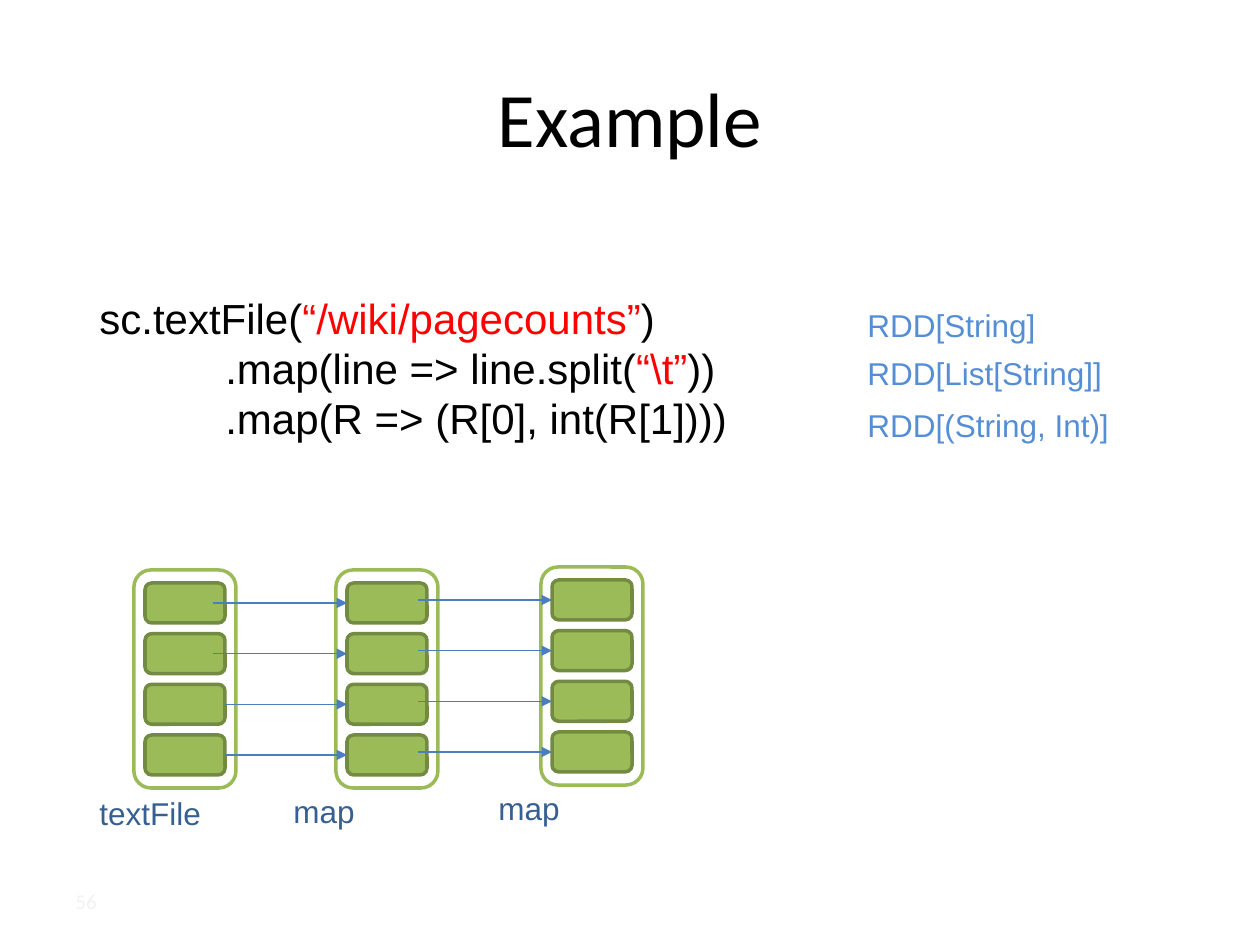
from lxml import etree
from pptx import Presentation
from pptx.dml.color import RGBColor
from pptx.enum.shapes import MSO_CONNECTOR, MSO_SHAPE
from pptx.enum.text import MSO_ANCHOR, PP_ALIGN
from pptx.oxml.ns import qn
from pptx.util import Emu, Pt

# Content: code lines are lists of (text, colour) runs
BLACK, RED, LIGHT_BLUE, DARK_BLUE = "000000", "FF0000", "558ED5", "376092"
GREEN, DARK_GREEN, ARROW_BLUE, WHITE = "9BBB59", "738A42", "4B7EBC", "FFFFFF"
CODE = [
    [("sc.textFile(", BLACK), ("“/wiki/pagecounts”", RED), (")", BLACK)],
    [("\t.map(line => line.split(", BLACK), ("“\\t”", RED), ("))", BLACK)],
    [("\t.map(R => (R[0], int(R[1])))", BLACK)],
]
TYPES = [("RDD[String]", 300), ("RDD[List[String]]", 348), ("RDD[(String, Int)]", 400)]
# Stage: label, label left, label top, frame left, frame top
STAGES = [
    ("textFile", 87, 788, 134, 570),
    ("map", 281, 786, 336, 570),
    ("map", 486, 783, 541, 567),
]
# Where the arrows leave each stage, row by row
ARROW_STARTS = [[213, 213, 225, 225], [418] * 4]

FRAME_WIDTH, FRAME_HEIGHT = 102, 218
BLOCK_WIDTH, BLOCK_HEIGHT = 80, 40
INSET_X, INSET_Y = 11, 13
ROWS = 4
ROW_STEP = (FRAME_HEIGHT - 2 * INSET_Y - BLOCK_HEIGHT) / (ROWS - 1)


def px(value):
    return Emu(round(value * 914400 / 126))


def rgb(color):
    return RGBColor.from_string(color)


def add_text(lines, left, top, width, height, size=18, color=BLACK, font="Arial",
             align=PP_ALIGN.LEFT, anchor=MSO_ANCHOR.TOP, tab=None):
    """Lines is a string, or a list of lines made of (text, colour) runs."""
    if isinstance(lines, str):
        lines = [[(lines, color)]]
    box = slide.shapes.add_textbox(px(left), px(top), px(width), px(height))
    frame = box.text_frame
    frame.word_wrap = True
    frame.vertical_anchor = anchor
    for index, line in enumerate(lines):
        paragraph = frame.paragraphs[0] if index == 0 else frame.add_paragraph()
        paragraph.alignment = align
        if tab:
            properties = paragraph._p.get_or_add_pPr()
            tab_list = etree.SubElement(properties, qn("a:tabLst"))
            etree.SubElement(tab_list, qn("a:tab"), pos=str(px(tab)), algn="l")
        for text, run_color in line:
            run = paragraph.add_run()
            run.text = text
            run.font.size = Pt(size)
            run.font.name = font
            run.font.color.rgb = rgb(run_color)


def add_box(group, left, top, width, height, fill, line):
    shape = group.shapes.add_shape(MSO_SHAPE.ROUNDED_RECTANGLE,
                                   px(left), px(top), px(width), px(height))
    shape.shadow.inherit = False
    shape.fill.solid()
    shape.fill.fore_color.rgb = rgb(fill)
    shape.line.color.rgb = rgb(line)
    shape.line.width = Pt(2)


def add_arrow(start, end, y):
    arrow = slide.shapes.add_connector(MSO_CONNECTOR.STRAIGHT,
                                       px(start), px(y), px(end), px(y))
    arrow.line.color.rgb = rgb(ARROW_BLUE)
    arrow.line.width = Pt(0.75)
    etree.SubElement(arrow.line._get_or_add_ln(), qn("a:tailEnd"), type="triangle")
    etree.SubElement(arrow._element.spPr, qn("a:effectLst"))


presentation = Presentation()
presentation.slide_width, presentation.slide_height = px(1260), px(945)
slide = presentation.slides.add_slide(presentation.slide_layouts[6])

# Title, code and the type of each line
add_text("Example", 63, 38, 1134, 157, size=44, font="Calibri",
         align=PP_ALIGN.CENTER, anchor=MSO_ANCHOR.MIDDLE)
add_text(CODE, 87, 286, 883, 165, size=24, tab=126)
for text, top in TYPES:
    add_text(text, 855, top, 334, 50, color=LIGHT_BLUE)

# Stages with their partitions
for label, label_left, label_top, left, top in STAGES:
    group = slide.shapes.add_group_shape()
    add_box(group, left, top, FRAME_WIDTH, FRAME_HEIGHT, WHITE, GREEN)
    for row in range(ROWS):
        add_box(group, left + INSET_X, top + INSET_Y + row * ROW_STEP,
                BLOCK_WIDTH, BLOCK_HEIGHT, GREEN, DARK_GREEN)
    add_text(label, label_left, label_top, 145, 50, color=DARK_BLUE)

# Arrows into the partitions of the next stage
for starts, (_, _, _, left, top) in zip(ARROW_STARTS, STAGES[1:]):
    for row, start in enumerate(starts):
        add_arrow(start, left + INSET_X,
                  top + INSET_Y + BLOCK_HEIGHT / 2 + row * ROW_STEP)

# Slide number
add_text("56", 63, 876, 294, 50, size=12, color="F2F2F2", font="Calibri",
         anchor=MSO_ANCHOR.MIDDLE)

presentation.save("out.pptx")
